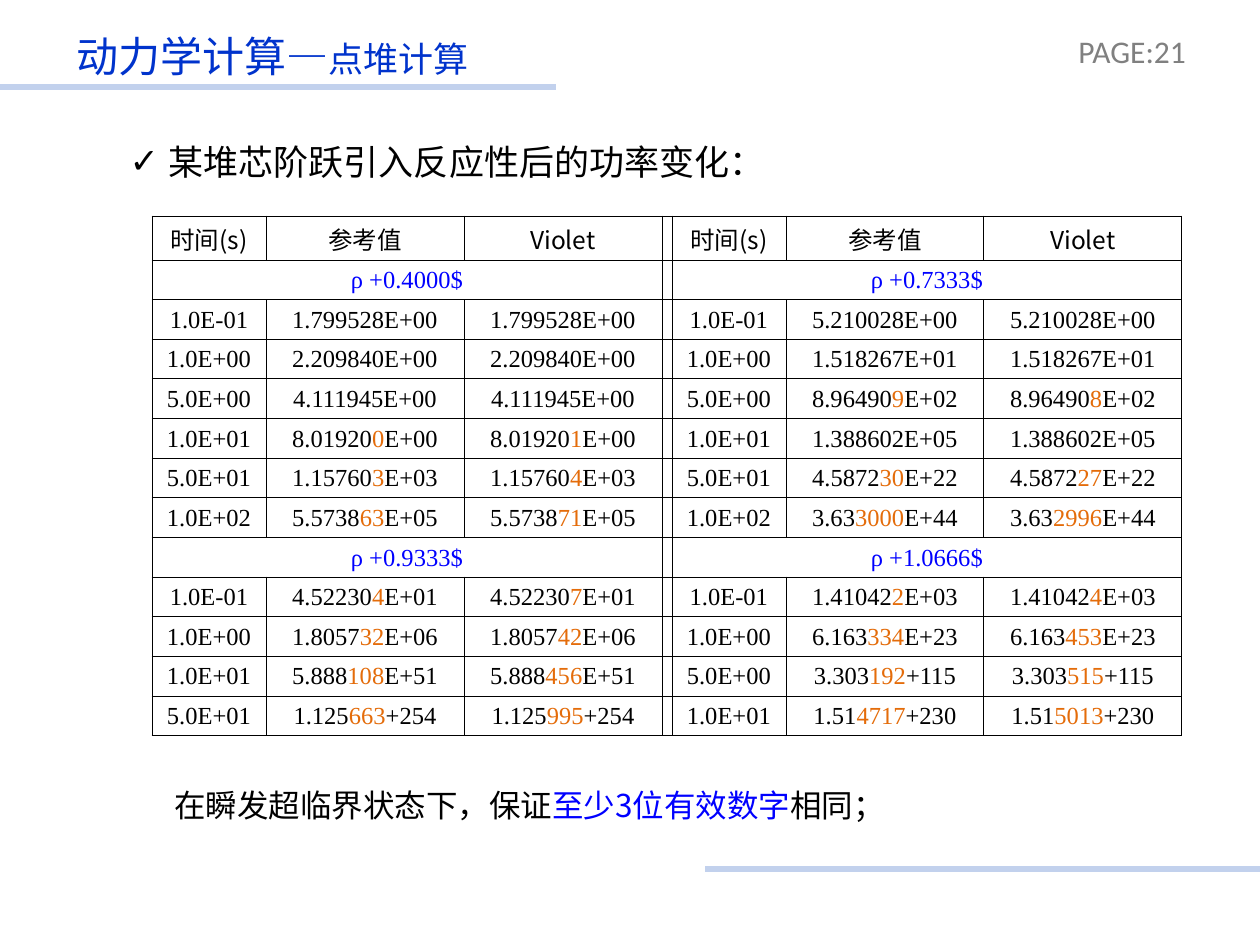
from lxml import etree
from pptx import Presentation
from pptx.dml.color import RGBColor
from pptx.enum.shapes import MSO_CONNECTOR
from pptx.enum.text import MSO_ANCHOR, MSO_AUTO_SIZE, PP_ALIGN
from pptx.oxml.ns import qn
from pptx.util import Pt

STRAIGHT = MSO_CONNECTOR.STRAIGHT
MIDDLE = MSO_ANCHOR.MIDDLE
NO_FIT = MSO_AUTO_SIZE.NONE
LEFT, CENTER = PP_ALIGN.LEFT, PP_ALIGN.CENTER

EMU_PER_PX = 914400 / 126
SANS, SERIF, LABEL = "Noto Sans CJK SC", "Times New Roman", "Calibri"
COLORS = {
    "title": "0033CC",
    "rule": "C2D1ED",
    "page": "808080",
    "text": "000000",
    "accent": "0000FF",
    "differ": "E46C0A",
    "cell": "FFFFFF",
}
MANTISSA = 8
HALF_COLUMNS = [114, 198, 198]
GAP = 10
HEADINGS = ["时间(s)", "参考值", "Violet"]
LEFT_CASES = [
    ("ρ +0.4000$", [
        ("1.0E-01", "1.799528E+00", "1.799528E+00"),
        ("1.0E+00", "2.209840E+00", "2.209840E+00"),
        ("5.0E+00", "4.111945E+00", "4.111945E+00"),
        ("1.0E+01", "8.019200E+00", "8.019201E+00"),
        ("5.0E+01", "1.157603E+03", "1.157604E+03"),
        ("1.0E+02", "5.573863E+05", "5.573871E+05"),
    ]),
    ("ρ +0.9333$", [
        ("1.0E-01", "4.522304E+01", "4.522307E+01"),
        ("1.0E+00", "1.805732E+06", "1.805742E+06"),
        ("1.0E+01", "5.888108E+51", "5.888456E+51"),
        ("5.0E+01", "1.125663+254", "1.125995+254"),
    ]),
]
RIGHT_CASES = [
    ("ρ +0.7333$", [
        ("1.0E-01", "5.210028E+00", "5.210028E+00"),
        ("1.0E+00", "1.518267E+01", "1.518267E+01"),
        ("5.0E+00", "8.964909E+02", "8.964908E+02"),
        ("1.0E+01", "1.388602E+05", "1.388602E+05"),
        ("5.0E+01", "4.587230E+22", "4.587227E+22"),
        ("1.0E+02", "3.633000E+44", "3.632996E+44"),
    ]),
    ("ρ +1.0666$", [
        ("1.0E-01", "1.410422E+03", "1.410424E+03"),
        ("1.0E+00", "6.163334E+23", "6.163453E+23"),
        ("5.0E+00", "3.303192+115", "3.303515+115"),
        ("1.0E+01", "1.514717+230", "1.515013+230"),
    ]),
]


def px(length):
    return round(length * EMU_PER_PX)


def color(name):
    return RGBColor.from_string(COLORS[name])


def split_digits(value, other):
    same = 0
    while same < MANTISSA and value[same] == other[same]:
        same += 1
    parts = [
        (value[:same], "text"),
        (value[same:MANTISSA], "differ"),
        (value[MANTISSA:], "text"),
    ]
    return [(value, "text")] if same == MANTISSA else parts


class SlideBuilder:
    def __init__(self, deck):
        self.page = deck.slides.add_slide(deck.slide_layouts[1])

    def span(self, para, text, size, font, tone):
        span = para.add_run()
        span.text = text
        span.font.size = Pt(size)
        span.font.name = font
        span.font.color.rgb = color(tone)
        properties = span.font._element
        etree.SubElement(properties, qn("a:ea")).set("typeface", SANS)

    def fill_box(self, box, bounds, spans, bullet=None):
        box.left, box.top, box.width, box.height = map(px, bounds)
        frame = box.text_frame
        frame.auto_size = NO_FIT
        frame.word_wrap = True
        frame.vertical_anchor = MIDDLE
        para = frame.paragraphs[0]
        para.alignment = LEFT
        para.space_before = Pt(0)
        if bullet:
            properties = para._p.get_or_add_pPr()
            properties.set("marL", str(px(39)))
            properties.set("indent", str(-px(39)))
            etree.SubElement(properties, qn("a:buChar")).set("char", bullet)
        for span in spans:
            self.span(para, *span)

    def title(self, bounds, spans):
        self.fill_box(self.page.shapes.title, bounds, spans)

    def body(self, bounds, spans, bullet):
        self.fill_box(self.page.placeholders[1], bounds, spans, bullet)

    def text(self, bounds, spans):
        box = self.page.shapes.add_textbox(*map(px, bounds))
        self.fill_box(box, bounds, spans)

    def rule(self, start, end, y):
        line = self.page.shapes.add_connector(STRAIGHT, px(start), px(y), px(end), px(y))
        line.line.color.rgb = color("rule")
        line.line.width = Pt(3.25)
        etree.SubElement(line._element.spPr, qn("a:effectLst"))

    def table(self, left, top, columns, heading_height, body_height, row_count):
        frame = self.page.shapes.add_table(
            row_count, len(columns), px(left), px(top),
            px(sum(columns)), px(heading_height + body_height))
        table = frame.table
        for column, width in zip(table.columns, columns):
            column.width = px(width)
        for index, row in enumerate(table.rows):
            row.height = px(body_height / (row_count - 1) if index else heading_height)
        for cell in table.iter_cells():
            self.style_cell(cell)
        return table

    def style_cell(self, cell):
        cell.margin_left = cell.margin_right = cell.margin_top = px(1)
        cell.margin_bottom = 0
        cell.vertical_anchor = MIDDLE
        properties = cell._tc.get_or_add_tcPr()
        for side in ("lnL", "lnR", "lnT", "lnB"):
            border = etree.SubElement(properties, qn(f"a:{side}"), w=str(Pt(0.5)))
            fill = etree.SubElement(border, qn("a:solidFill"))
            etree.SubElement(fill, qn("a:srgbClr"), val=COLORS["text"])
        cell.fill.solid()
        cell.fill.fore_color.rgb = color("cell")
        para = cell.text_frame.paragraphs[0]
        para.alignment = CENTER
        para._p.get_or_add_endParaRPr().set("sz", "1400")

    def cell(self, cell, parts, font=SERIF):
        para = cell.text_frame.paragraphs[0]
        for text, tone in parts:
            self.span(para, text, 14, font, tone)

    def half_table(self, table, first, cases):
        for offset, heading in enumerate(HEADINGS):
            self.cell(table.cell(0, first + offset), [(heading, "text")], SANS)
        row = 1
        for reactivity, records in cases:
            heading = table.cell(row, first)
            heading.merge(table.cell(row, first + 2))
            self.cell(heading, [(reactivity, "accent")])
            for row, (time, reference, result) in enumerate(records, row + 1):
                self.cell(table.cell(row, first), [(time, "text")])
                self.cell(table.cell(row, first + 1), split_digits(reference, result))
                self.cell(table.cell(row, first + 2), split_digits(result, reference))
            row += 1


def main():
    deck = Presentation()
    deck.slide_width, deck.slide_height = px(1260), px(945)
    slide = SlideBuilder(deck)
    slide.rule(0, 556, 87)
    slide.rule(1260, 705, 869)
    slide.text((1066, 26, 159, 50), [("PAGE:21", 18, LABEL, "page")])
    slide.title((64, 24, 538, 63), [
        ("动力学计算—", 24, SERIF, "title"),
        ("点堆计算", 20, SERIF, "title"),
    ])
    row_count = 1 + sum(1 + len(records) for _, records in LEFT_CASES)
    columns = HALF_COLUMNS + [GAP] + HALF_COLUMNS
    table = slide.table(152, 216, columns, 44, 476, row_count)
    slide.half_table(table, 0, LEFT_CASES)
    slide.half_table(table, 4, RIGHT_CASES)
    slide.body((117, 134, 853, 55), [
        ("某堆芯阶跃引入反应性后的功率变化：", 20, SANS, "text"),
    ], "✓")
    slide.text((162, 780, 745, 50), [
        ("在瞬发超临界状态下，保证", 18, SANS, "text"),
        ("至少3位有效数字", 18, SANS, "accent"),
        ("相同；", 18, SANS, "text"),
    ])
    deck.save("out.pptx")


if __name__ == "__main__":
    main()
